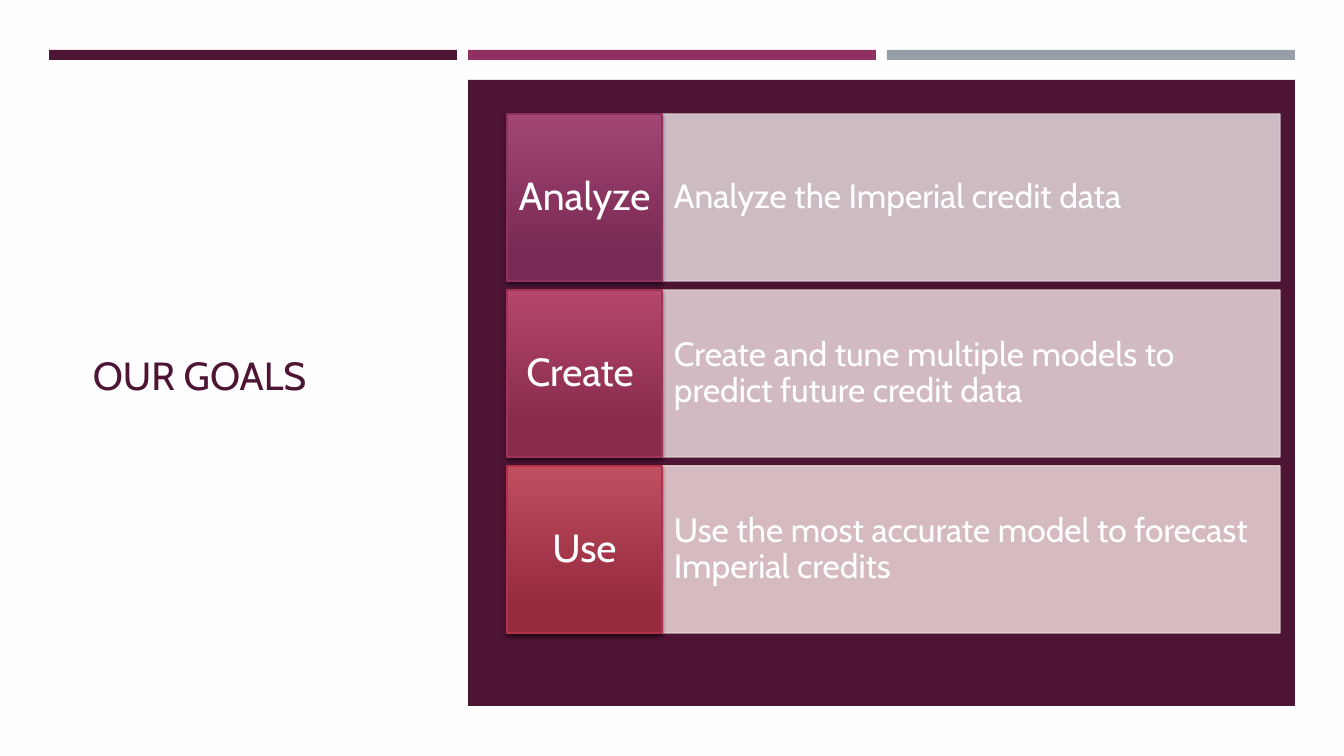
from lxml import etree
from pptx import Presentation
from pptx import util as u
from pptx.dml.color import RGBColor
from pptx.enum import shapes, text
from pptx.oxml import ns

PX = 12192000 / 1344
PLUM = RGBColor(0x4D, 0x14, 0x34)
MAUVE = RGBColor(0x90, 0x31, 0x63)
GRAY = RGBColor(0x96, 0x9F, 0xA7)
PAPER = RGBColor(0xFF, 0xFE, 0xFF)
WHITE = RGBColor(0xFF, 0xFF, 0xFF)
ROSE = RGBColor(0xA1, 0x32, 0x5A)
RED = RGBColor(0xB2, 0x32, 0x4B)
GOALS = [
    ("Analyze", "Analyze the Imperial credit data", MAUVE,
     RGBColor(0xA2, 0x47, 0x74), RGBColor(0x79, 0x29, 0x53), RGBColor(0xDB, 0xCE, 0xD3)),
    ("Create ", "Create and tune multiple models to predict future credit data", ROSE,
     RGBColor(0xB4, 0x47, 0x6B), RGBColor(0x87, 0x2A, 0x4B), RGBColor(0xE0, 0xCD, 0xD2)),
    ("Use", "Use the most accurate model to forecast Imperial credits", RED,
     RGBColor(0xBF, 0x4E, 0x61), RGBColor(0x96, 0x2A, 0x3F), RGBColor(0xE4, 0xCE, 0xD0)),
]

prs = Presentation()
prs.slide_width = round(1344 * PX)
prs.slide_height = round(756 * PX)
slide = prs.slides.add_slide(prs.slide_layouts[6])
slide.background.fill.solid()
slide.background.fill.fore_color.rgb = PAPER


def box(x, y, w, h, fill):
    shape = slide.shapes.add_shape(
        shapes.MSO_SHAPE.RECTANGLE, *(round(n * PX) for n in (x, y, w, h)))
    shape.shadow.inherit = False
    shape.fill.solid()
    shape.fill.fore_color.rgb = fill
    shape.line.fill.background()
    return shape


def write(shape, words, size=24, color=WHITE, align=text.PP_ALIGN.LEFT,
          side=10, top=5, space=1.0):
    frame = shape.text_frame
    frame.word_wrap = True
    frame.vertical_anchor = text.MSO_ANCHOR.MIDDLE
    frame.margin_left = frame.margin_right = round(side * PX)
    frame.margin_top = frame.margin_bottom = round(top * PX)
    para = frame.paragraphs[0]
    para.alignment = align
    para.line_spacing = space
    run = para.add_run()
    run.text = words
    run.font.size = u.Pt(size)
    run.font.name = "Cabin"
    run.font.color.rgb = color


title = slide.shapes.add_textbox(*(round(n * PX) for n in (83, 115, 337, 519)))
write(title, "OUR GOALS", size=28, color=PLUM)

for i, color in enumerate((PLUM, MAUVE, GRAY)):
    box(49 + 419 * i, 50, 408, 10, color)
box(468, 80, 827, 626, PLUM)

for i, (name, goal, edge, light, dark, pale) in enumerate(GOALS):
    y = 114 + 176 * i
    band = box(662, y, 618, 167, pale)
    band.line.color.rgb = pale
    band.line.width = u.Pt(1)
    for tint in band._element.spPr.iter(ns.qn("a:srgbClr")):
        etree.SubElement(tint, ns.qn("a:alpha"), val="90000")
    write(band, goal, side=12, top=42, space=0.9)

    tile = box(507, y, 155, 167, light)
    tile.fill.gradient()
    tile.fill.gradient_angle = 270
    for stop, color, place in zip(tile.fill.gradient_stops, (light, dark), (0, 0.84)):
        stop.color.rgb = color
        stop.position = place
    tile.line.color.rgb = edge
    tile.line.width = u.Pt(1)
    glow = tile._element.spPr.find(ns.qn("a:effectLst"))
    shade = etree.SubElement(glow, ns.qn("a:outerShdw"), blurRad=str(u.Pt(3)),
                             dist=str(u.Pt(2)), dir="5400000", rotWithShape="0")
    black = etree.SubElement(shade, ns.qn("a:srgbClr"), val="000000")
    etree.SubElement(black, ns.qn("a:alpha"), val="55000")
    write(tile, name, size=28, align=text.PP_ALIGN.CENTER, side=8, top=16, space=0.9)

prs.save("out.pptx")
